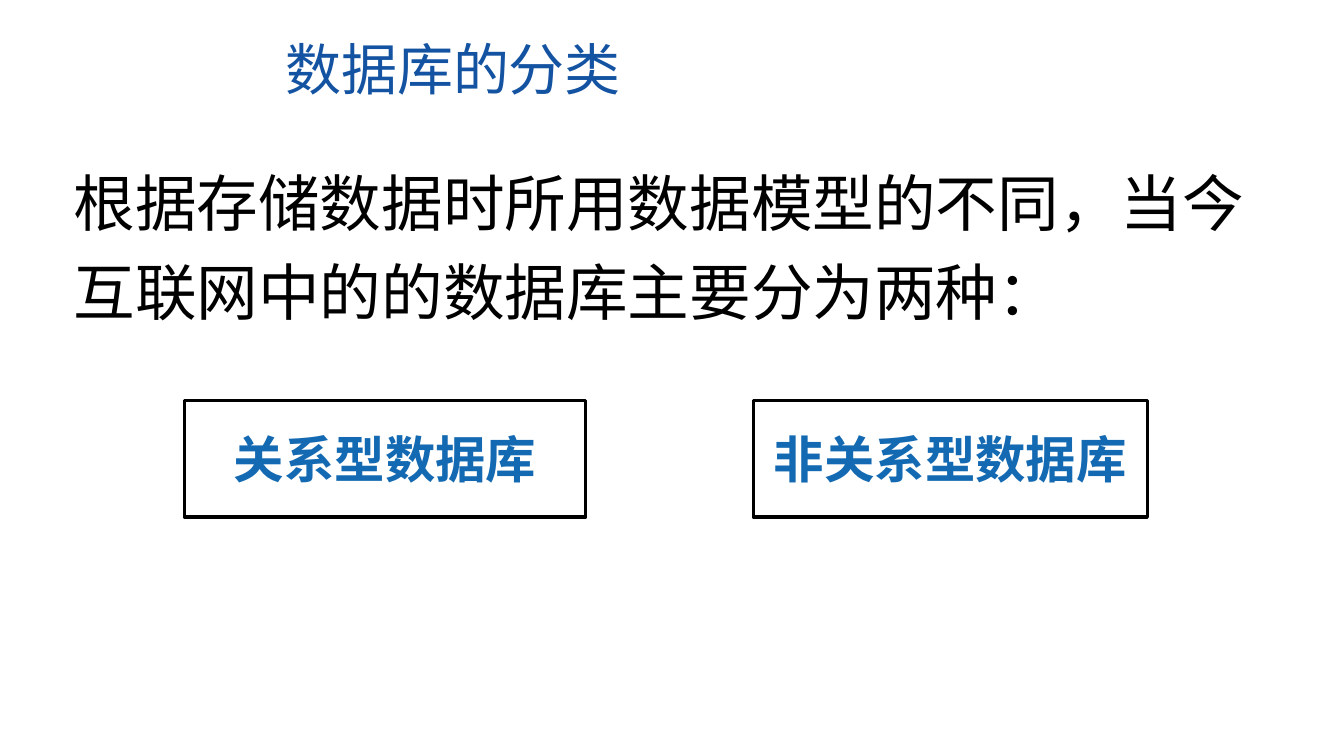
from dataclasses import dataclass

from lxml import etree
from pptx import Presentation
from pptx.dml.color import RGBColor
from pptx.enum.shapes import MSO_SHAPE
from pptx.enum.text import MSO_ANCHOR, MSO_AUTO_SIZE, PP_ALIGN
from pptx.oxml.ns import qn
from pptx.util import Inches, Pt

RECT = MSO_SHAPE.RECTANGLE
MIDDLE = MSO_ANCHOR.MIDDLE
GROW = MSO_AUTO_SIZE.SHAPE_TO_FIT_TEXT
CENTER = PP_ALIGN.CENTER
BLANK = 6
COLS = ROWS = 100


@dataclass(frozen=True)
class Theme:
    face: str = "Noto Sans CJK SC"
    title: str = "1353A2"
    body: str = "000000"
    label: str = "1369B2"
    edge: str = "000000"
    title_size: int = 40
    body_size: int = 44
    label_size: int = 36
    edge_width: float = 2.25


def assign(target, values):
    for name, value in values.items():
        setattr(target, name, value)


class Board:
    """Draws on one slide; places are (column, row, columns, rows)."""

    def __init__(self, deck, theme):
        self.theme = theme
        self.cell = deck.slide_width / COLS, deck.slide_height / ROWS
        self.slide = deck.slides.add_slide(deck.slide_layouts[BLANK])

    def span(self, place):
        return [round(n * self.cell[i % 2]) for i, n in enumerate(place)]

    def letter(self, shape, text, color, size, bold=None, frame=None, para=None):
        """Put one styled line of text into the shape."""
        assign(shape.text_frame, {"word_wrap": True, **(frame or {})})
        line = shape.text_frame.paragraphs[0]
        assign(line, para or {})
        run = line.add_run()
        run.text = text
        assign(run.font, {"name": self.theme.face, "size": Pt(size), "bold": bold})
        run.font.color.rgb = RGBColor.from_string(color)
        asian = etree.SubElement(run._r.get_or_add_rPr(), qn("a:ea"))
        asian.set("typeface", self.theme.face)

    def text(self, place, text, color, size, **para):
        shape = self.slide.shapes.add_textbox(*self.span(place))
        self.letter(shape, text, color, size, frame={"auto_size": GROW}, para=para)

    def box(self, place, text):
        look = self.theme
        shape = self.slide.shapes.add_shape(RECT, *self.span(place))
        shape.shadow.inherit = False
        shape.fill.background()
        shape.line.color.rgb = RGBColor.from_string(look.edge)
        shape.line.width = Pt(look.edge_width)
        self.letter(shape, text, look.label, look.label_size, bold=True,
                    frame={"vertical_anchor": MIDDLE},
                    para={"alignment": CENTER})


def main():
    deck = Presentation()
    assign(deck, {"slide_width": Inches(13.33), "slide_height": Inches(7.5)})
    theme = Theme()
    board = Board(deck, theme)

    board.text((20.48, 3.87, 44.11, 10.27), "数据库的分类",
               theme.title, theme.title_size)
    board.text((4.73, 19.2, 90.25, 25.07),
               "根据存储数据时所用数据模型的不同，当今互联网中的的数据库主要分为两种：",
               theme.body, theme.body_size, line_spacing=1.2)

    top, height = 52.93, 15.47
    for left, width, kind in ((13.73, 29.86, "关系型数据库"),
                              (56.04, 29.33, "非关系型数据库")):
        board.box((left, top, width, height), kind)

    deck.save("out.pptx")


if __name__ == "__main__":
    main()
